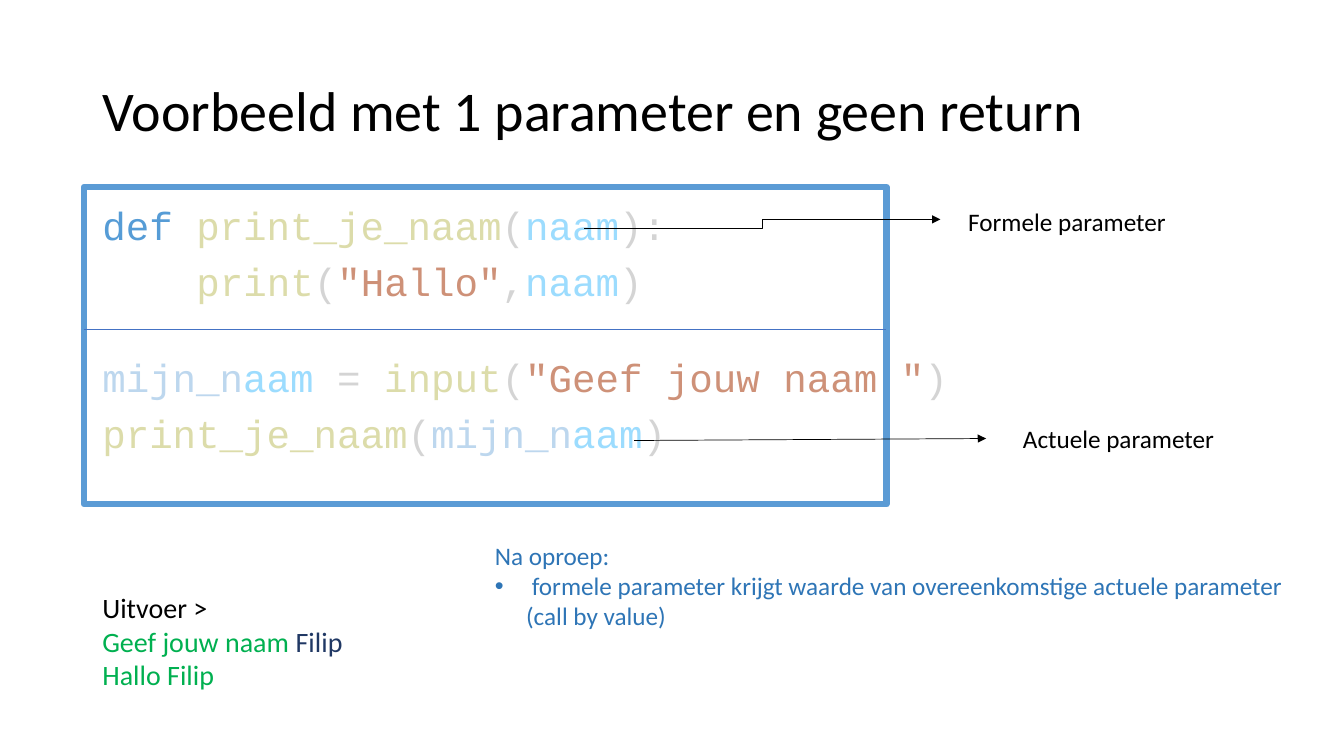
"""Build a slide explaining a Python function with one parameter and no return."""
from dataclasses import dataclass

from lxml import etree
from pptx import Presentation
from pptx import util as u
from pptx.dml.color import RGBColor
from pptx.enum import shapes, text
from pptx.oxml.ns import qn

COLOURS = {
    "black": "000000", "keyword": "569CD6", "function": "DCDCAA",
    "sign": "D4D4D4", "name": "9CDCFE", "string": "CE9178",
    "argument": "BDD7EE", "output": "00B050", "typed": "203864",
    "note": "2E75B6", "frame": "5B9BD5", "divider": "4472C4",
}


@dataclass(frozen=True)
class Span:
    words: str
    colour: str = "black"


@dataclass(frozen=True)
class Para:
    spans: tuple[Span, ...]
    before: float = 0
    indent: float = 0
    bullet: bool = False


@dataclass(frozen=True)
class Box:
    left: float
    top: float
    width: float
    height: float
    size: int
    paras: tuple[Para, ...]
    font: str = "Calibri"
    spacing: float = 1.0
    middle: bool = False
    wrap: bool = True


@dataclass(frozen=True)
class Line:
    start: tuple[float, float]
    end: tuple[float, float]
    colour: str = "black"
    arrow: bool = True
    kind: shapes.MSO_CONNECTOR = shapes.MSO_CONNECTOR.STRAIGHT


def plain(words: str, colour: str = "black") -> Para:
    return Para((Span(words, colour),))


ARGUMENT = (Span("mijn_n", "argument"), Span("aam", "name"))
PRINT_NAME = Span("print_je_naam", "function")
NAME = Span("naam", "name")
OPEN, CLOSE = Span("(", "sign"), Span(")", "sign")

CODE = (
    Para((Span("def ", "keyword"), PRINT_NAME, OPEN, NAME, Span("):", "sign")), before=10),
    Para((Span("print", "function"), OPEN, Span('"Hallo"', "string"),
          Span(",", "sign"), NAME, CLOSE), before=10, indent=2.37),
    Para((*ARGUMENT, Span(" = ", "sign"), Span("input", "function"), OPEN,
          Span('"Geef jouw naam "', "string"), CLOSE), before=38.5),
    Para((PRINT_NAME, OPEN, *ARGUMENT, CLOSE), before=10),
)
OUTPUT = (
    plain("Uitvoer >"),
    Para((Span("Geef jouw naam ", "output"), Span("Filip", "typed"))),
    plain("Hallo Filip", "output"),
)
NOTE = (
    plain("Na oproep:", "note"),
    Para((Span(" formele parameter krijgt waarde van overeenkomstige "
               "actuele parameter (call by value)", "note"),), indent=0.79, bullet=True),
)

BOXES = (
    Box(2.33, 1.01, 30.68, 3.68, 40, (plain("Voorbeeld met 1 parameter en geen return"),),
        spacing=0.9, middle=True),
    Box(2.33, 5.07, 29.21, 7.16, 28, CODE, font="Courier New", spacing=0.9),
    Box(2.33, 14.76, 7.21, 3.58, 20, OUTPUT),
    Box(24.15, 5.08, 5.54, 1.03, 18, (plain("Formele parameter"),), wrap=False),
    Box(25.53, 10.54, 5.38, 1.03, 18, (plain("Actuele parameter"),), wrap=False),
    Box(12.22, 13.49, 21.46, 4.11, 18, NOTE),
)
FRAME = (2.12, 4.71, 20.22, 8.0)
DIVIDER_Y = 8.3
LINES = (
    Line((14.73, 5.76), (23.7, 5.53), kind=shapes.MSO_CONNECTOR.ELBOW),
    Line((15.98, 11.1), (24.85, 11.05)),
    Line((FRAME[0], DIVIDER_Y), (FRAME[0] + FRAME[2], DIVIDER_Y), "divider", arrow=False),
)


def rgb(name: str) -> RGBColor:
    return RGBColor.from_string(COLOURS[name])


def draw_box(page, box: Box) -> None:
    shape = page.shapes.add_textbox(*map(u.Cm, (box.left, box.top, box.width, box.height)))
    frame = shape.text_frame
    frame.word_wrap = box.wrap
    if box.middle:
        frame.vertical_anchor = text.MSO_ANCHOR.MIDDLE
    for index, para in enumerate(box.paras):
        paragraph = frame.add_paragraph() if index else frame.paragraphs[0]
        paragraph.line_spacing = box.spacing
        paragraph.space_before = u.Pt(para.before)
        properties = paragraph._p.get_or_add_pPr()
        if para.indent:
            properties.set("marL", str(u.Cm(para.indent)))
        if para.bullet:
            properties.set("indent", str(-u.Cm(para.indent)))
            etree.SubElement(properties, qn("a:buFont"), typeface="Arial")
            etree.SubElement(properties, qn("a:buChar"), char="•")
        paragraph.font.size = u.Pt(box.size)
        paragraph.font.name = box.font
        for span in para.spans:
            run = paragraph.add_run()
            run.text = span.words
            run.font.color.rgb = rgb(span.colour)


def draw_frame(page) -> None:
    frame = page.shapes.add_shape(shapes.MSO_SHAPE.RECTANGLE, *map(u.Cm, FRAME))
    frame.shadow.inherit = False
    frame.fill.background()
    frame.line.color.rgb = rgb("frame")
    frame.line.width = u.Pt(4.5)


def draw_line(page, line: Line) -> None:
    connector = page.shapes.add_connector(line.kind, *map(u.Cm, line.start + line.end))
    connector.line.color.rgb = rgb(line.colour)
    connector.line.width = u.Pt(0.5)
    if line.arrow:
        etree.SubElement(connector.line._get_or_add_ln(), qn("a:tailEnd"), type="triangle")
    etree.SubElement(connector._element.spPr, qn("a:effectLst"))


def main() -> None:
    deck = Presentation()
    deck.slide_width, deck.slide_height = u.Cm(33.87), u.Cm(19.05)
    page = deck.slides.add_slide(deck.slide_layouts[6])
    for box in BOXES:
        draw_box(page, box)
    draw_frame(page)
    for line in LINES:
        draw_line(page, line)
    deck.save("out.pptx")


if __name__ == "__main__":
    main()
